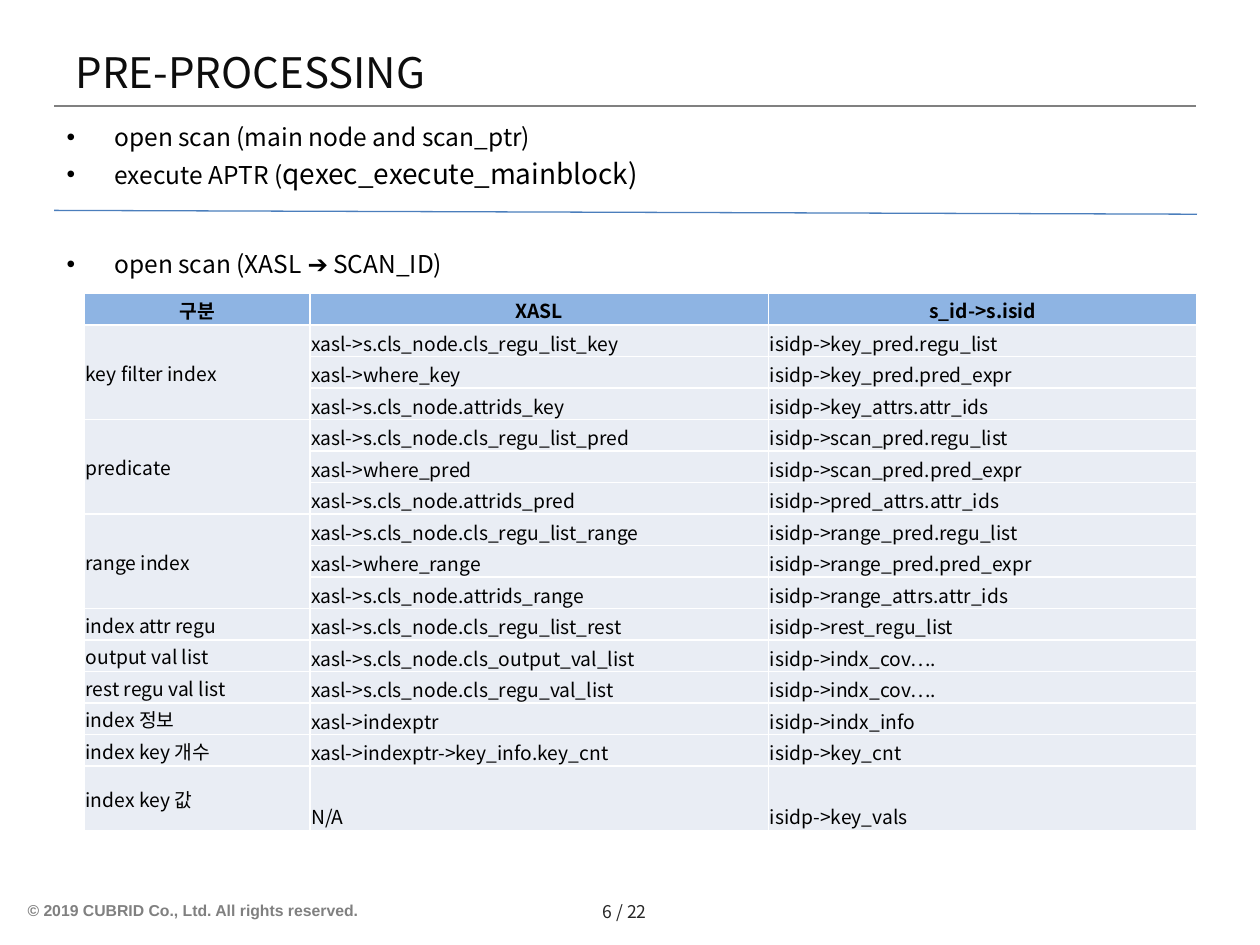
from lxml import etree
from pptx import Presentation
from pptx.dml.color import RGBColor
from pptx.enum.shapes import MSO_CONNECTOR
from pptx.enum.text import MSO_ANCHOR, PP_ALIGN
from pptx.oxml.ns import qn
from pptx.util import Inches, Pt

STRAIGHT = MSO_CONNECTOR.STRAIGHT
TOP, MIDDLE, BOTTOM = MSO_ANCHOR.TOP, MSO_ANCHOR.MIDDLE, MSO_ANCHOR.BOTTOM
LEFT, CENTER, RIGHT = PP_ALIGN.LEFT, PP_ALIGN.CENTER, PP_ALIGN.RIGHT

BLACK = RGBColor(0x00, 0x00, 0x00)
TITLE_INK = RGBColor(0x0D, 0x0D, 0x0D)
PAGE_INK = RGBColor(0x26, 0x26, 0x26)
GRAY = RGBColor(0x80, 0x80, 0x80)
RULE_BLUE = RGBColor(0x4B, 0x7E, 0xBC)
HEADER_BLUE = RGBColor(0x8E, 0xB4, 0xE3)
CELL_TINT = RGBColor(0xE9, 0xED, 0xF4)
BORDER = "FFFFFF"

SANS = "Noto Sans CJK KR"
SIDE = 0.43
COLUMNS = (1.79, 3.64, 3.4)
ROW, LAST_ROW = 0.25, 0.51
HEADINGS = ("구분", "XASL", "s_id->s.isid")
GROUPS = (
    ("key filter index", (
        ("xasl->s.cls_node.cls_regu_list_key", "isidp->key_pred.regu_list"),
        ("xasl->where_key", "isidp->key_pred.pred_expr"),
        ("xasl->s.cls_node.attrids_key", "isidp->key_attrs.attr_ids"))),
    ("predicate", (
        ("xasl->s.cls_node.cls_regu_list_pred", "isidp->scan_pred.regu_list"),
        ("xasl->where_pred", "isidp->scan_pred.pred_expr"),
        ("xasl->s.cls_node.attrids_pred", "isidp->pred_attrs.attr_ids"))),
    ("range index", (
        ("xasl->s.cls_node.cls_regu_list_range", "isidp->range_pred.regu_list"),
        ("xasl->where_range", "isidp->range_pred.pred_expr"),
        ("xasl->s.cls_node.attrids_range", "isidp->range_attrs.attr_ids"))),
    ("index attr regu", (
        ("xasl->s.cls_node.cls_regu_list_rest", "isidp->rest_regu_list"),)),
    ("output val list", (
        ("xasl->s.cls_node.cls_output_val_list", "isidp->indx_cov…."),)),
    ("rest regu val list", (
        ("xasl->s.cls_node.cls_regu_val_list", "isidp->indx_cov…."),)),
    ("index 정보", (("xasl->indexptr", "isidp->indx_info"),)),
    ("index key 개수", (
        ("xasl->indexptr->key_info.key_cnt", "isidp->key_cnt"),)),
    ("index key 값", (("N/A", "isidp->key_vals"),)),
)


def write(paragraph, text, size, color=BLACK, face=SANS, bold=False):
    run = paragraph.add_run()
    run.text = text
    for key, value in dict(size=Pt(size), name=face, bold=bold).items():
        setattr(run.font, key, value)
    run.font.color.rgb = color
    east_asian = etree.SubElement(run.font._element, qn("a:ea"))
    east_asian.set("typeface", face)


def add_text(slide, box, wrap=True, anchor=TOP):
    frame = slide.shapes.add_textbox(*map(Inches, box)).text_frame
    frame.word_wrap = wrap
    frame.vertical_anchor = anchor
    return frame


def add_bullets(slide, box, items):
    frame = add_text(slide, box)
    for index, runs in enumerate(items):
        paragraph = frame.add_paragraph() if index else frame.paragraphs[0]
        properties = paragraph._p.get_or_add_pPr()
        properties.set("marL", str(Inches(0.38)))
        properties.set("indent", str(-Inches(0.38)))
        etree.SubElement(properties, qn("a:buFont")).set("typeface", "Arial")
        etree.SubElement(properties, qn("a:buChar")).set("char", "•")
        if index:
            paragraph.space_before = Pt(3)
        for text, size in runs:
            write(paragraph, text, size)


def add_rule(slide, start, end, color, width):
    rule = slide.shapes.add_connector(STRAIGHT, *map(Inches, start + end))
    rule.line.color.rgb = color
    rule.line.width = Pt(width)
    etree.SubElement(rule._element.spPr, qn("a:effectLst"))


def add_title(slide, text):
    title = slide.shapes.title
    box = dict(left=0.5, top=0.3, width=9, height=0.54)
    for key, value in box.items():
        setattr(title, key, Inches(value))
    title.text_frame.vertical_anchor = MIDDLE
    paragraph = title.text_frame.paragraphs[0]
    paragraph.alignment = LEFT
    write(paragraph, text, 24, TITLE_INK)


def fill_cell(cell, text, fill, anchor, align=LEFT, bold=False):
    margin = Inches(0.01)
    layout = dict(margin_left=margin, margin_right=margin, margin_top=margin,
                  margin_bottom=0, vertical_anchor=anchor)
    for key, value in layout.items():
        setattr(cell, key, value)
    paragraph = cell.text_frame.paragraphs[0]
    paragraph.alignment = align
    if text:
        write(paragraph, text, 11, bold=bold)
    properties = cell._tc.get_or_add_tcPr()
    for side in ("lnL", "lnR", "lnT", "lnB"):
        edge = etree.SubElement(properties, qn(f"a:{side}"), w=str(Pt(1)))
        solid = etree.SubElement(edge, qn("a:solidFill"))
        etree.SubElement(solid, qn("a:srgbClr"), val=BORDER)
    cell.fill.solid()
    cell.fill.fore_color.rgb = fill


def add_mapping_table(slide):
    count = 1 + sum(len(pairs) for _, pairs in GROUPS)
    height = ROW * (count - 1) + LAST_ROW
    box = (0.67, 2.33, sum(COLUMNS), height)
    table = slide.shapes.add_table(
        count, len(COLUMNS), *map(Inches, box)).table
    for column, width in zip(table.columns, COLUMNS):
        column.width = Inches(width)
    for row in table.rows:
        row.height = Inches(ROW)
    table.rows[count - 1].height = Inches(LAST_ROW)
    for column, heading in enumerate(HEADINGS):
        fill_cell(table.cell(0, column), heading, HEADER_BLUE, MIDDLE,
                  CENTER, True)
    first = 1
    for group, pairs in GROUPS:
        for offset, pair in enumerate(pairs):
            row = first + offset
            fill_cell(table.cell(row, 0), "" if offset else group,
                      CELL_TINT, MIDDLE)
            for column, text in enumerate(pair, 1):
                fill_cell(table.cell(row, column), text, CELL_TINT, BOTTOM)
        if len(pairs) > 1:
            table.cell(first, 0).merge(table.cell(row, 0))
        first = row + 1


def add_footer(slide):
    notice = add_text(slide, (0.12, 7.1, 2.89, 0.25), wrap=False)
    write(notice.paragraphs[0], "© 2019 CUBRID Co., Ltd. All rights reserved.",
          9, GRAY, "Arial", True)
    page = add_text(slide, (4.29, 7.08, 0.94, 0.31), anchor=MIDDLE)
    page.paragraphs[0].alignment = RIGHT
    write(page.paragraphs[0], "6 / 22", 10, PAGE_INK)


def main():
    deck = Presentation()
    deck.slide_width, deck.slide_height = Inches(10), Inches(7.5)
    slide = deck.slides.add_slide(deck.slide_layouts[5])
    add_footer(slide)
    add_rule(slide, (SIDE, 0.84), (9.49, 0.84), GRAY, 1.25)
    add_title(slide, "PRE-PROCESSING")
    add_bullets(slide, (SIDE, 0.92, 9, 1.03), (
        (("open scan (main node and scan_ptr)", 14),),
        (("execute APTR (", 14), ("qexec_execute_mainblock)", 16)),
    ))
    add_rule(slide, (SIDE, 1.67), (9.5, 1.7), RULE_BLUE, 0.75)
    add_bullets(slide, (SIDE, 1.93, 9, 4.82),
                ((("open scan (XASL ➔ SCAN_ID)", 14),),))
    add_mapping_table(slide)
    add_footer_done = None
    deck.save("out.pptx")


if __name__ == "__main__":
    main()
